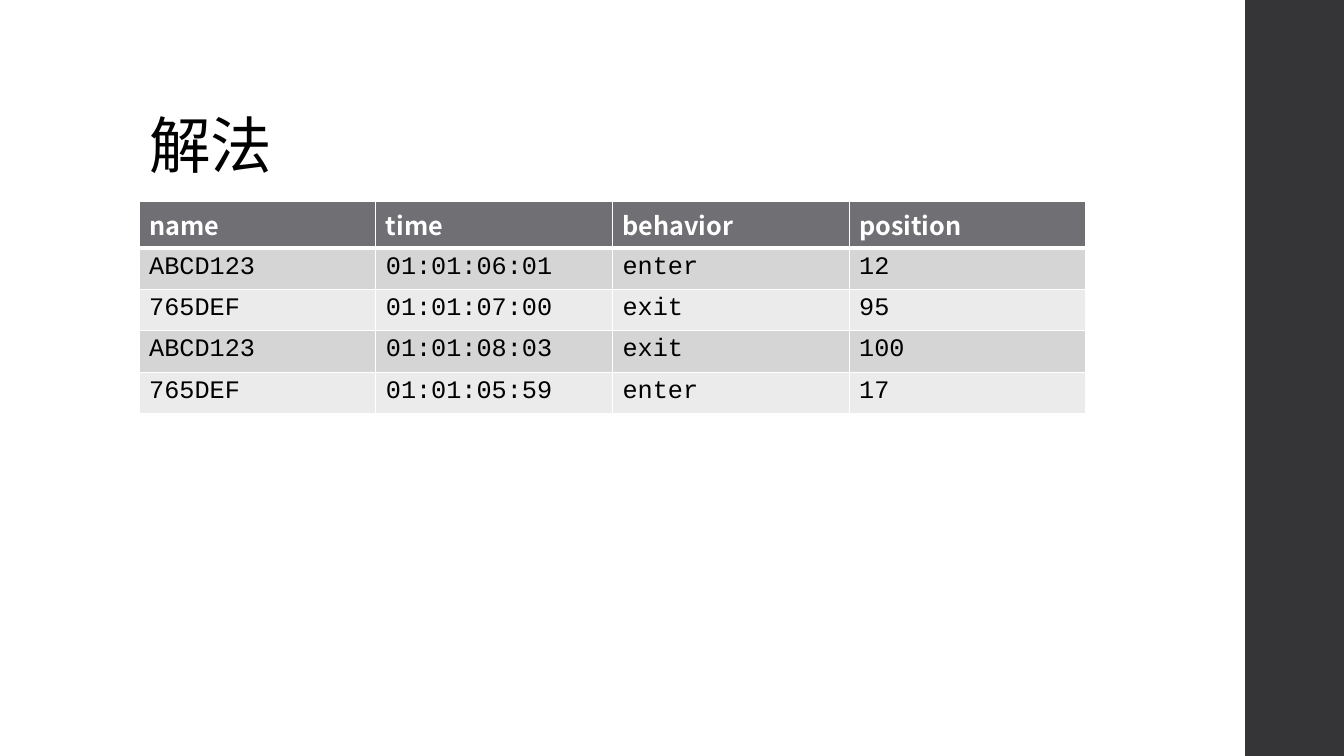
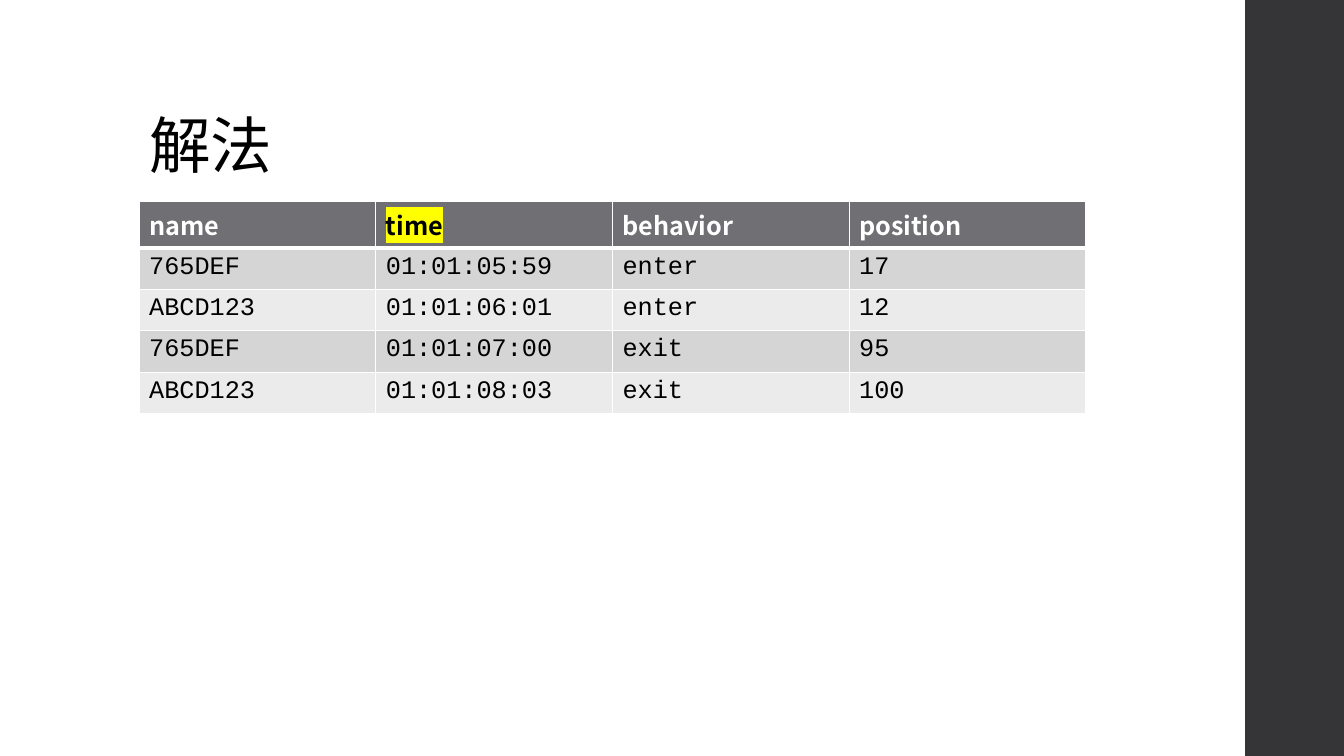
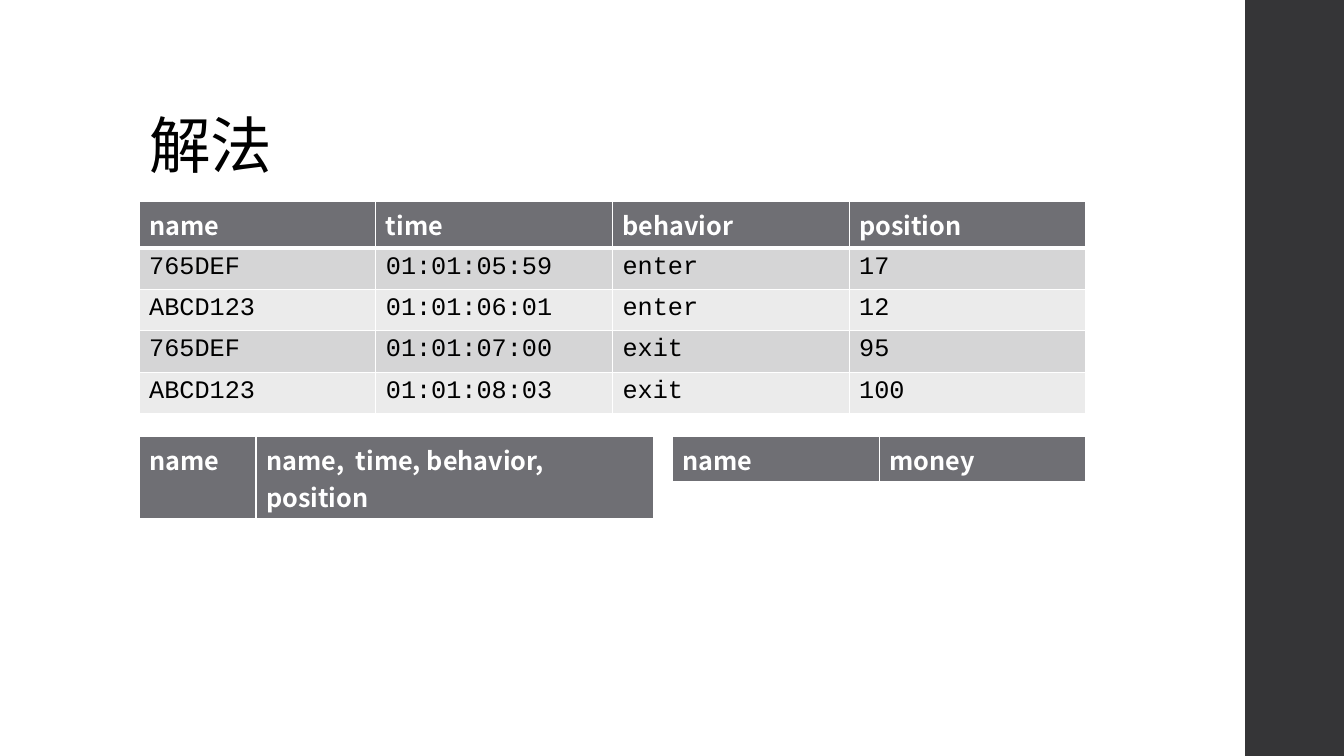
from dataclasses import dataclass

from lxml import etree
from pptx import Presentation
from pptx.dml.color import RGBColor
from pptx.enum.shapes import MSO_SHAPE
from pptx.enum.text import MSO_ANCHOR, PP_ALIGN
from pptx.oxml.ns import qn
from pptx.util import Inches, Pt

RECTANGLE = MSO_SHAPE.RECTANGLE
BOTTOM = MSO_ANCHOR.BOTTOM
LEFT = PP_ALIGN.LEFT
TITLE_ONLY = 5


@dataclass(frozen=True)
class Theme:
    ink: str = "000000"
    paper: str = "FFFFFF"
    band: str = "353537"
    header: str = "6F6F74"
    stripes: tuple = ("D5D5D6", "EBEBEB")
    marker: str = "FFFF00"
    sans: str = "Noto Sans CJK SC"
    mono: str = "Courier New"
    title_size: int = 44
    table_size: int = 18
    thin: int = 1
    thick: int = 3


@dataclass(frozen=True)
class Grid:
    width: float = 13.33
    height: float = 7.5
    left: float = 1.38
    content: float = 9.39
    row: float = 0.41
    gap: float = 0.19
    log_top: float = 2
    lookup_top: float = 4.33
    money_width: float = 4.1
    title: tuple = (1.38, 0.4, 10.6, 1.45)
    band: tuple = (12.35, 0, 1, 7.5)


THEME = Theme()
GRID = Grid()
TITLE = "解法"
FIELDS = ("name", "time", "behavior", "position")
RECORDS = (
    ("ABCD123", "01:01:06:01", "enter", "12"),
    ("765DEF", "01:01:07:00", "exit", "95"),
    ("ABCD123", "01:01:08:03", "exit", "100"),
    ("765DEF", "01:01:05:59", "enter", "17"),
)


def inches(lengths):
    return [Inches(length) for length in lengths]


def write(frame, text, size, color, font=THEME.sans, bold=False,
          highlight=None, tracking=None, line_spacing=None):
    para = frame.paragraphs[0]
    para.alignment = LEFT
    if line_spacing:
        para.line_spacing = line_spacing
    span = para.add_run()
    span.text = text
    span.font.size = Pt(size)
    span.font.bold = bold
    span.font.name = font
    span.font.color.rgb = RGBColor.from_string(color)
    props = span.font._element
    latin = props.find(qn("a:latin"))
    latin.addnext(etree.Element(qn("a:ea"), typeface=font))
    if highlight:
        mark = etree.Element(qn("a:highlight"))
        etree.SubElement(mark, qn("a:srgbClr"), val=highlight)
        latin.addprevious(mark)
    if tracking:
        props.set("spc", str(round(tracking * 100)))


def set_borders(cell, top, bottom):
    props = cell._tc.get_or_add_tcPr()
    sides = {"lnL": THEME.thin, "lnR": THEME.thin, "lnT": top, "lnB": bottom}
    for side, points in sides.items():
        line = etree.SubElement(props, qn(f"a:{side}"), w=str(Pt(points)))
        fill = etree.SubElement(line, qn("a:solidFill"))
        etree.SubElement(fill, qn("a:srgbClr"), val=THEME.paper)


def fill_cell(cell, text, row, highlighted):
    is_header = row == 0
    set_borders(cell,
                top=THEME.thick if row == 1 else THEME.thin,
                bottom=THEME.thick if is_header else THEME.thin)
    color = THEME.header if is_header else THEME.stripes[(row - 1) % 2]
    cell.fill.solid()
    cell.fill.fore_color.rgb = RGBColor.from_string(color)
    write(cell.text_frame, text, THEME.table_size,
          THEME.paper if is_header and not highlighted else THEME.ink,
          font=THEME.sans if is_header else THEME.mono,
          bold=is_header,
          highlight=THEME.marker if highlighted else None)


def add_grid_table(page, left, top, widths, header, records=(), marked=None):
    rows = [header, *records]
    place = inches((left, top, sum(widths), GRID.row * len(rows)))
    table = page.shapes.add_table(len(rows), len(header), *place).table
    table.horz_banding = False
    for column, width in zip(table.columns, widths):
        column.width = Inches(width)
    for row, values in enumerate(rows):
        for column, text in enumerate(values):
            highlighted = row == 0 and text == marked
            fill_cell(table.cell(row, column), text, row, highlighted)


def add_log_table(page, records, marked=None):
    widths = [GRID.content / len(FIELDS)] * len(FIELDS)
    add_grid_table(page, GRID.left, GRID.log_top, widths, FIELDS, records, marked)


def add_lookup_tables(page):
    log_width = GRID.content - GRID.gap - GRID.money_width
    name_width = 1.16
    add_grid_table(page, GRID.left + log_width + GRID.gap, GRID.lookup_top,
                   [GRID.money_width / 2] * 2, ("name", "money"))
    add_grid_table(page, GRID.left, GRID.lookup_top,
                   [name_width, log_width - name_width],
                   ("name", "name,  time, behavior, position"))


def style_layout(layout):
    title = layout.placeholders[0]
    title.left, title.top, title.width, title.height = inches(GRID.title)
    title.text_frame.vertical_anchor = BOTTOM


def add_page(deck):
    page = deck.slides.add_slide(deck.slide_layouts[TITLE_ONLY])
    write(page.shapes.title.text_frame, TITLE, THEME.title_size, THEME.ink,
          tracking=-0.5, line_spacing=0.9)
    return page


def add_master_band(deck, page):
    band = page.shapes.add_shape(RECTANGLE, *inches(GRID.band))
    band.shadow.inherit = False
    band.fill.solid()
    band.fill.fore_color.rgb = RGBColor.from_string(THEME.band)
    band.line.fill.background()
    deck.slide_master.shapes.element.insert(2, band.element)


def main():
    deck = Presentation()
    deck.slide_width, deck.slide_height = inches((GRID.width, GRID.height))
    style_layout(deck.slide_layouts[TITLE_ONLY])
    by_time = sorted(RECORDS, key=lambda record: record[1])

    unsorted_page = add_page(deck)
    add_master_band(deck, unsorted_page)
    add_log_table(unsorted_page, RECORDS)

    sorted_page = add_page(deck)
    add_log_table(sorted_page, by_time, marked="time")

    lookup_page = add_page(deck)
    add_log_table(lookup_page, by_time)
    add_lookup_tables(lookup_page)

    deck.save("out.pptx")


main()
